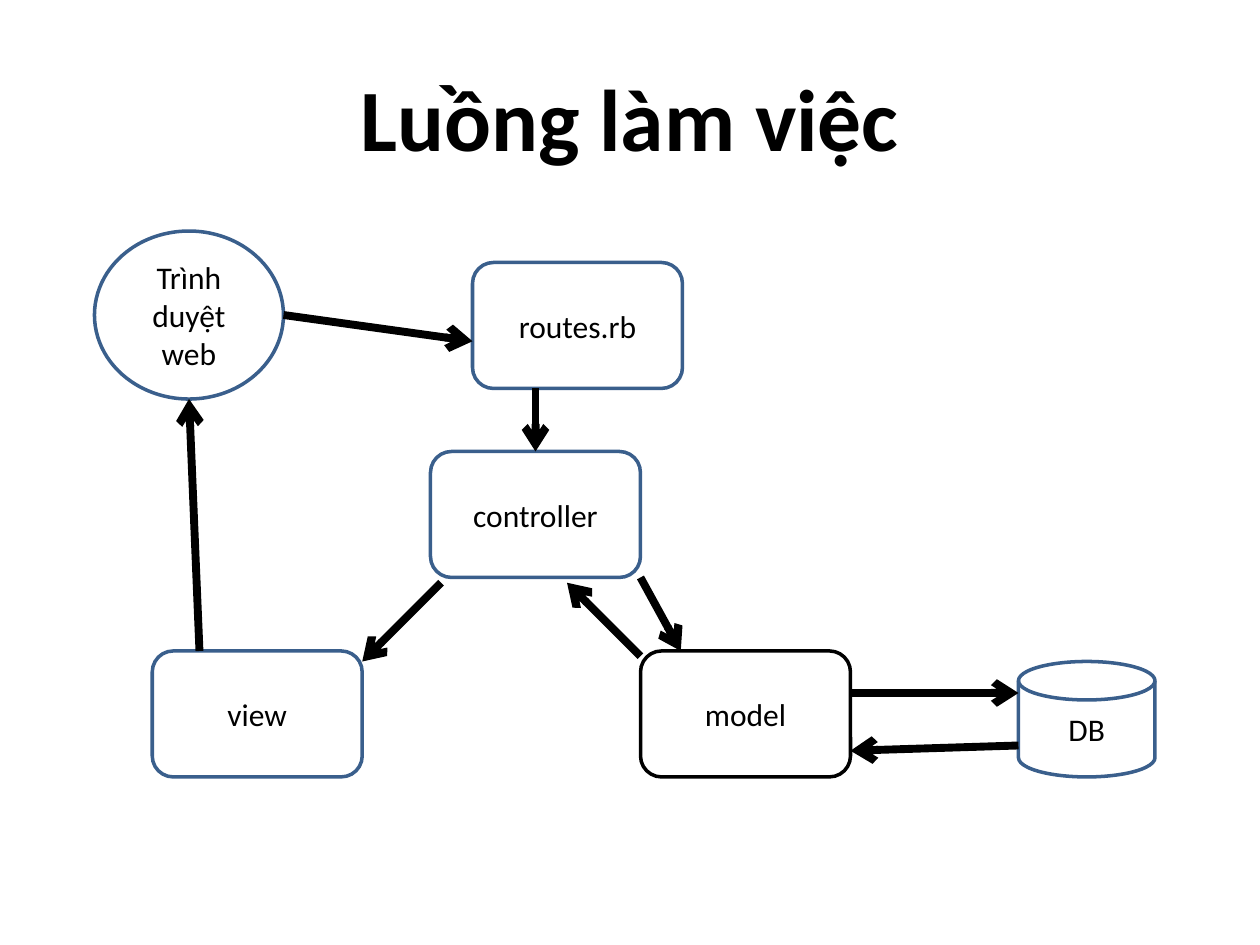
"""Build the slide showing the request workflow of a web application."""
from lxml import etree
from pptx import Presentation
from pptx.dml.color import RGBColor
from pptx.enum import shapes, text
from pptx.oxml import ns
from pptx.util import Pt

BLACK, WHITE, BLUE = "000000", "FFFFFF", "3A5F8C"
KIND = shapes.MSO_SHAPE
TITLE = "Luồng làm việc"
BOX = (120, 72)
NODES = [
    ("Trình duyệt web", KIND.OVAL, (54, 132), (108, 96), BLUE),
    ("routes.rb", KIND.ROUNDED_RECTANGLE, (270, 150), BOX, BLUE),
    ("controller", KIND.ROUNDED_RECTANGLE, (246, 258), BOX, BLUE),
    ("view", KIND.ROUNDED_RECTANGLE, (87, 372), BOX, BLUE),
    ("model", KIND.ROUNDED_RECTANGLE, (366, 372), BOX, BLACK),
    ("DB", KIND.FLOWCHART_MAGNETIC_DISK, (582, 378), (78, 66), BLUE),
]
ARROWS = [
    ((162, 180), (270, 195), None),
    ((306, 222), (306, 258), ("controller", 0)),
    ((366, 375), (324, 333), None),
    ((366, 330), (389, 372), None),
    ((582, 426), (486, 429), None),
    ((486, 396), (582, 396), None),
    ((252, 333), (207, 378), None),
    ((114, 372), (108, 228), None),
]


def rgb(value):
    return RGBColor.from_string(value)


def write(shape, words, size, bold=False):
    tf = shape.text_frame
    tf.text = words
    tf.word_wrap = True
    tf.vertical_anchor = text.MSO_ANCHOR.MIDDLE
    p = tf.paragraphs[0]
    p.alignment = text.PP_ALIGN.CENTER
    font = p.runs[0].font
    font.name, font.size, font.bold = "Calibri", Pt(size), bold
    font.color.rgb = rgb(BLACK)


def add_node(s, words, kind, corner, size, outline):
    sp = s.shapes.add_shape(kind, *map(Pt, corner + size))
    sp.shadow.inherit = False
    sp.fill.solid()
    sp.fill.fore_color.rgb = rgb(WHITE)
    sp.line.color.rgb = rgb(outline)
    sp.line.width = Pt(2)
    write(sp, words, 18)
    return sp


def add_arrow(s, start, end, joint, nodes):
    line = s.shapes.add_connector(shapes.MSO_CONNECTOR.STRAIGHT, *map(Pt, start + end))
    if joint:
        name, side = joint
        line.end_connect(nodes[name], side)
    line.line.color.rgb = rgb(BLACK)
    line.line.width = Pt(4.5)
    etree.SubElement(line.line._get_or_add_ln(), ns.qn("a:tailEnd"), type="arrow")
    etree.SubElement(line._element.spPr, ns.qn("a:effectLst"))


def main():
    prs = Presentation()
    prs.slide_width, prs.slide_height = Pt(720), Pt(540)
    s = prs.slides.add_slide(prs.slide_layouts[6])
    write(s.shapes.add_textbox(Pt(36), Pt(21.6), Pt(648), Pt(90)), TITLE, 50, True)
    nodes = {node[0]: add_node(s, *node) for node in NODES}
    for arrow in ARROWS:
        add_arrow(s, *arrow, nodes)
    prs.save("out.pptx")


if __name__ == "__main__":
    main()
